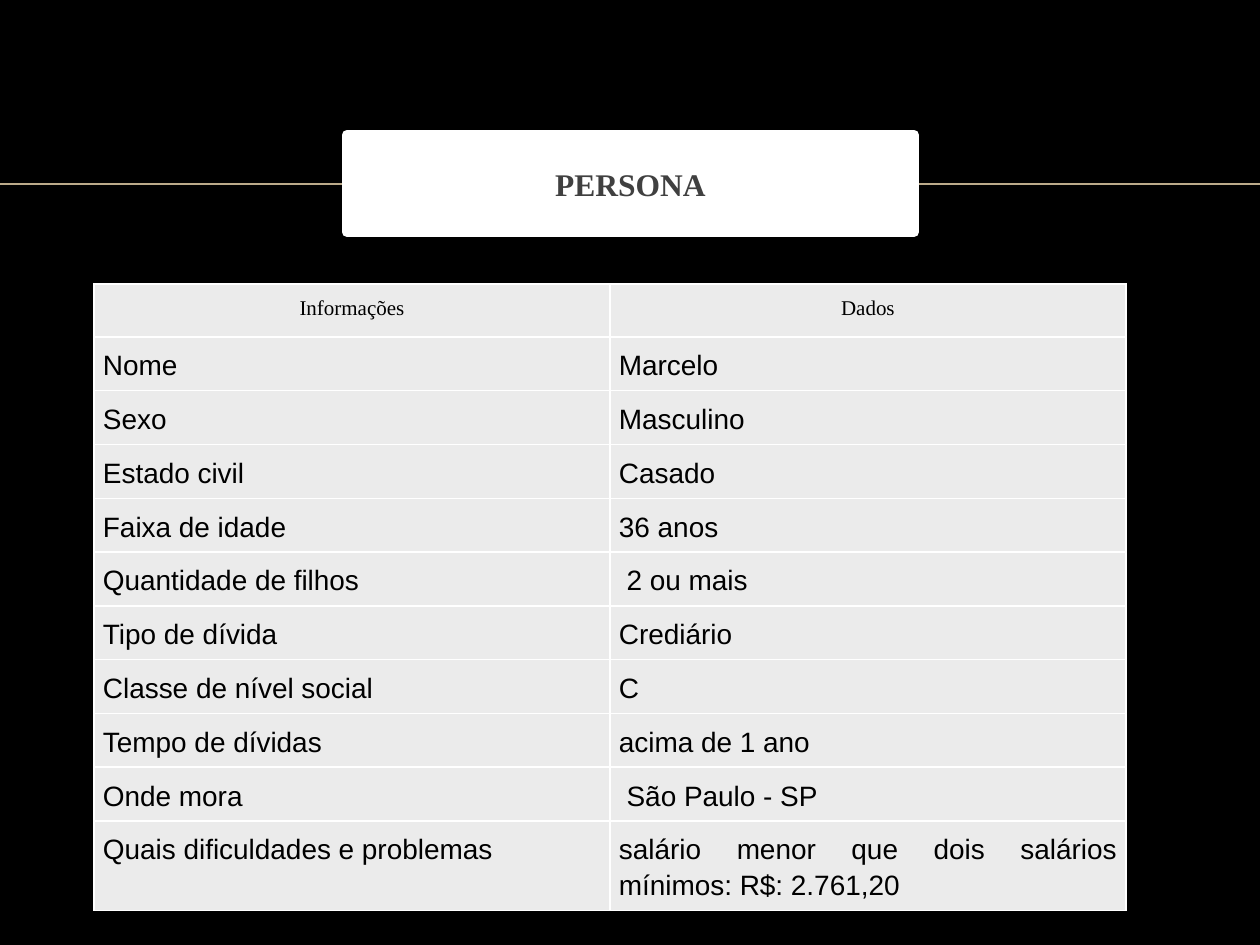
import dataclasses

import lxml.etree
import pptx
import pptx.dml.color
import pptx.enum.shapes
import pptx.enum.text
import pptx.oxml.ns
import pptx.util

RGB = pptx.dml.color.RGBColor
ALIGN = pptx.enum.text.PP_ALIGN
BLACK = RGB(0x00, 0x00, 0x00)
WHITE = RGB(0xFF, 0xFF, 0xFF)
GREY = RGB(0xEB, 0xEB, 0xEB)
DARK = RGB(0x40, 0x40, 0x40)
SAND = RGB(0xBB, 0xAA, 0x8A)

EMU_PER_PX = 914400 / 126
INSET = 9
COL_WIDTH = 516
ROW_HEIGHT = 53
LAST_ROW_HEIGHT = 89


@dataclasses.dataclass(frozen=True)
class CellStyle:
    font: str
    size: int
    align: ALIGN


@dataclasses.dataclass(frozen=True)
class Row:
    label: str
    value: str
    style: CellStyle
    height: int = ROW_HEIGHT


HEADER = CellStyle("Times New Roman", 12, ALIGN.CENTER)
BODY = CellStyle("Arial", 16, ALIGN.JUSTIFY)

ROWS = [
    Row("Informações", "Dados", HEADER),
    Row("Nome", "Marcelo", BODY),
    Row("Sexo", "Masculino", BODY),
    Row("Estado civil", "Casado", BODY),
    Row("Faixa de idade", "36 anos", BODY),
    Row("Quantidade de filhos", " 2 ou mais", BODY),
    Row("Tipo de dívida", "Crediário", BODY),
    Row("Classe de nível social", "C", BODY),
    Row("Tempo de dívidas", "acima de 1 ano", BODY),
    Row("Onde mora", " São Paulo - SP", BODY),
    Row("Quais dificuldades e problemas",
        "salário menor que dois salários mínimos: R$: 2.761,20",
        BODY, LAST_ROW_HEIGHT),
]


def px(n: int) -> pptx.util.Emu:
    return pptx.util.Emu(round(n * EMU_PER_PX))


def add_borders(cell, color: RGB, width: pptx.util.Length) -> None:
    qn = pptx.oxml.ns.qn
    tc_pr = cell._tc.get_or_add_tcPr()
    for i, side in enumerate(("a:lnL", "a:lnR", "a:lnT", "a:lnB")):
        ln = lxml.etree.Element(qn(side), w=str(int(width)))
        fill = lxml.etree.SubElement(ln, qn("a:solidFill"))
        lxml.etree.SubElement(fill, qn("a:srgbClr"), val=str(color))
        tc_pr.insert(i, ln)  # borders come before the fill


def fill_cell(cell, text: str, style: CellStyle) -> None:
    cell.fill.solid()
    cell.fill.fore_color.rgb = GREY
    cell.margin_left = cell.margin_right = px(INSET)
    cell.margin_top = cell.margin_bottom = px(INSET)
    add_borders(cell, WHITE, pptx.util.Pt(1))
    p = cell.text_frame.paragraphs[0]
    p.text = text
    p.alignment = style.align
    p.line_spacing = 1.15
    p.font.name = style.font
    p.font.size = pptx.util.Pt(style.size)
    p.font.color.rgb = BLACK


def add_rule(slide, y: int, width: int) -> None:
    line = slide.shapes.add_connector(
        pptx.enum.shapes.MSO_CONNECTOR.STRAIGHT, 0, px(y), px(width), px(y))
    line.line.color.rgb = SAND
    line.line.width = pptx.util.Pt(1)
    lxml.etree.SubElement(line.element.spPr, pptx.oxml.ns.qn("a:effectLst"))


def add_persona_table(slide, left: int, top: int, rows: list[Row]) -> None:
    height = sum(row.height for row in rows)
    table = slide.shapes.add_table(
        len(rows), 2, px(left), px(top), px(2 * COL_WIDTH), px(height)).table
    table.first_row = False
    table.horz_banding = False
    for col in table.columns:
        col.width = px(COL_WIDTH)
    for i, row in enumerate(rows):
        table.rows[i].height = px(row.height)
        for j, text in enumerate((row.label, row.value)):
            fill_cell(table.cell(i, j), text, row.style)


def set_title(slide, text: str) -> None:
    title = slide.shapes.title
    title.left, title.top, title.width, title.height = map(px, (347, 135, 567, 97))
    title.fill.solid()
    title.fill.fore_color.rgb = WHITE
    title.line.color.rgb = WHITE
    title.line.width = pptx.util.Pt(6)
    tf = title.text_frame
    tf.word_wrap = True
    tf.vertical_anchor = pptx.enum.text.MSO_ANCHOR.MIDDLE
    p = tf.paragraphs[0]
    p.text = text
    p.alignment = ALIGN.CENTER
    p.space_before = pptx.util.Pt(4)
    p.font.name = "Times New Roman"
    p.font.size = pptx.util.Pt(18)
    p.font.bold = True
    p.font.color.rgb = DARK
    slide.shapes.element.append(title.element)  # in front of the rule


def main() -> None:
    prs = pptx.Presentation()
    prs.slide_width, prs.slide_height = px(1260), px(945)
    s = prs.slides.add_slide(prs.slide_layouts[5])

    # Background
    s.background.fill.solid()
    s.background.fill.fore_color.rgb = BLACK

    # Rule, table and title box, from back to front
    add_rule(s, 184, 1260)
    add_persona_table(s, 94, 284, ROWS)
    set_title(s, "PERSONA")

    prs.save("out.pptx")


if __name__ == "__main__":
    main()
